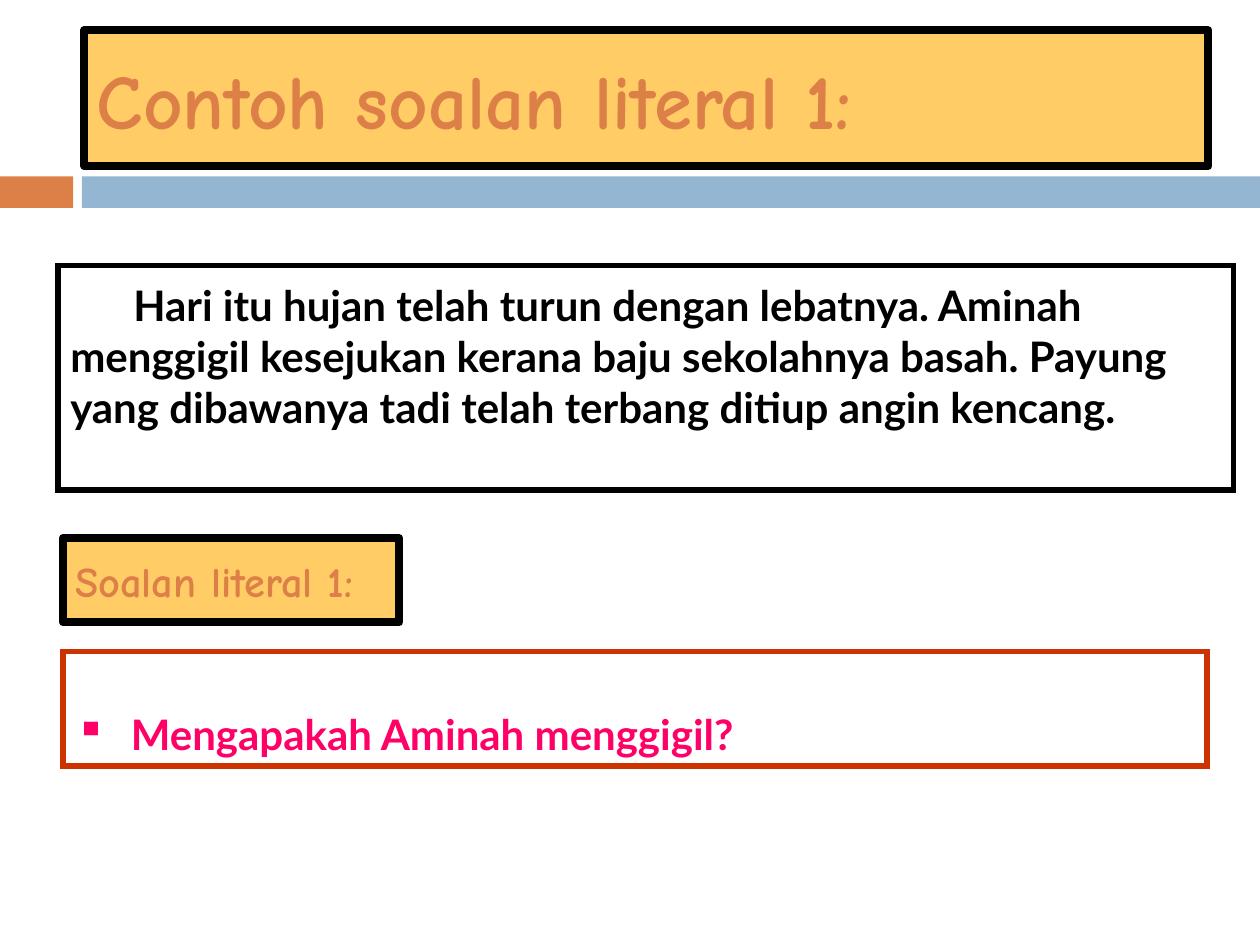
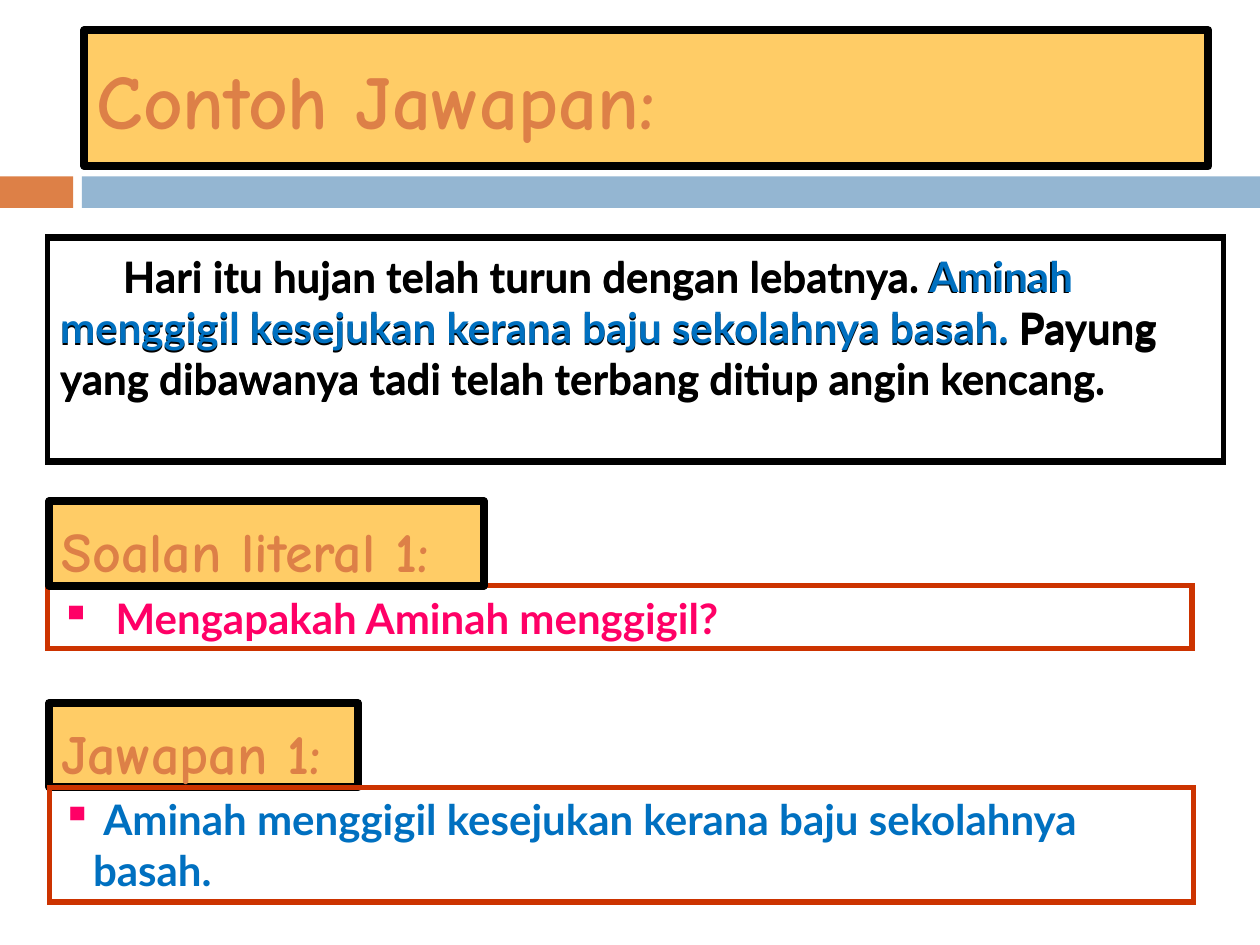
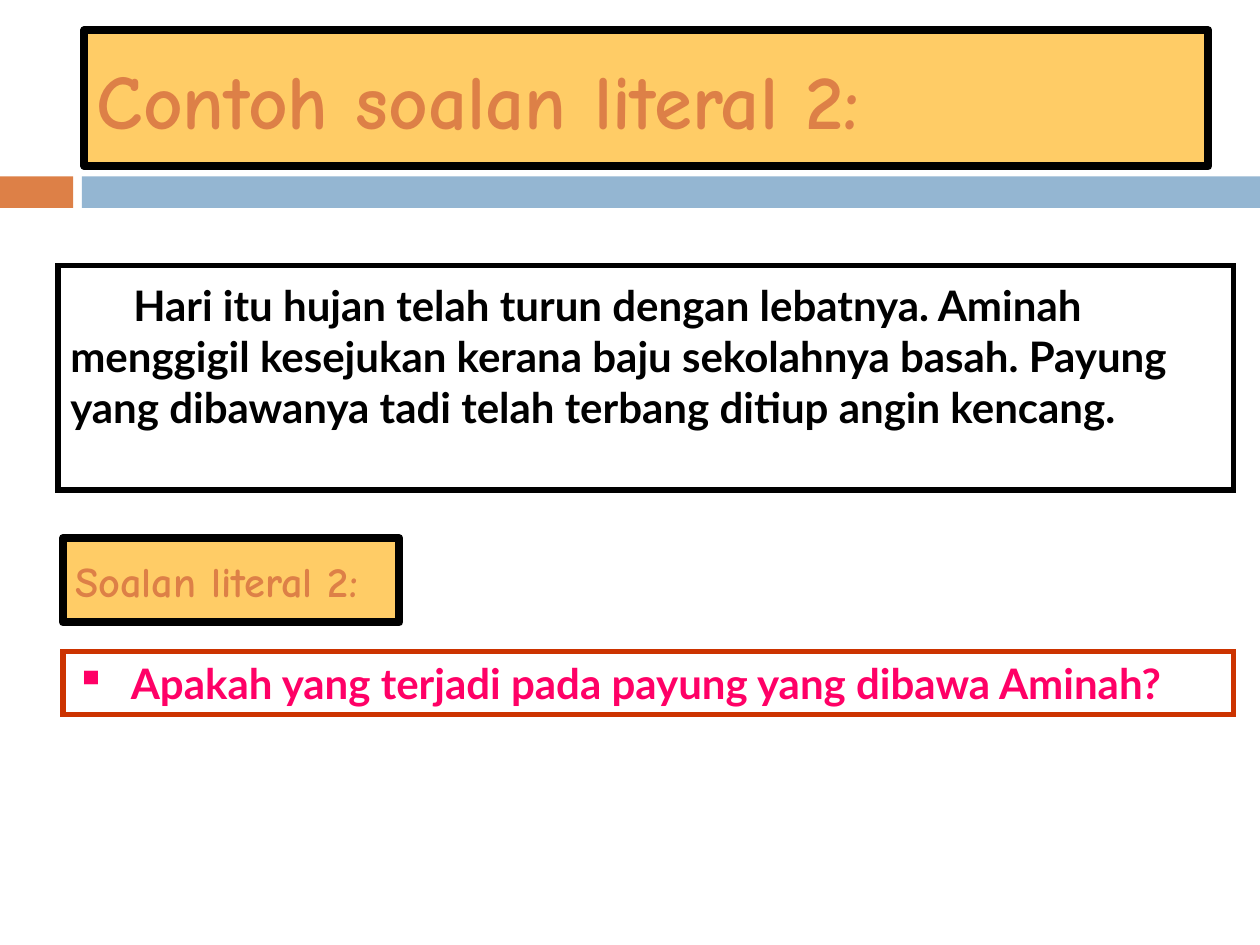
"""Build three slides of literal comprehension questions and answers."""
from lxml.etree import SubElement
from pptx import Presentation
from pptx.dml.color import RGBColor
from pptx.enum.shapes import MSO_SHAPE
from pptx.enum.text import MSO_ANCHOR, PP_ALIGN
from pptx.oxml.ns import qn
from pptx.util import Inches, Pt

ORANGE, BLUE_BAND, GOLD = "DD8047", "94B6D2", "FFCC66"
BLACK, RED, PINK, BLUE = "000000", "CC3300", "FF0066", "0070C0"
HEADING_FONT, BODY_FONT, TAB_FONT = "Comic Neue", "Lato", "Times New Roman"

OPENING = "Hari itu hujan telah turun dengan lebatnya. "
ANSWER = "Aminah menggigil kesejukan kerana baju sekolahnya basah."
ENDING = "Payung yang dibawanya tadi telah terbang ditiup angin kencang."
PLAIN = [(OPENING + ANSWER + " " + ENDING, BLACK)]
HIGHLIGHTED = [(OPENING, BLACK), (ANSWER + " ", BLUE), (ENDING, BLACK)]
WHY = [("Mengapakah Aminah menggigil?", PINK)]
UMBRELLA = [("Apakah yang terjadi pada payung yang dibawa Aminah?", PINK)]

BANDS = [((0, 1.4, 0.58, 0.25), ORANGE), ((0.65, 1.4, 9.35, 0.25), BLUE_BAND)]
TITLE_AREA = (0.67, 0.24, 8.92, 1.08)
PASSAGE_SIZE = (9.33, 1.78)
LABEL_HEIGHT = 0.67
QUESTION_INDENT, ANSWER_INDENT = 0.44, 0.25


def colour(value):
    return RGBColor.from_string(value)


def add_box(slide, area, fill=None, line=None, width=3):
    box = slide.shapes.add_shape(MSO_SHAPE.RECTANGLE, *map(Inches, area))
    box.shadow.inherit = False
    if fill:
        box.fill.solid()
        box.fill.fore_color.rgb = colour(fill)
    else:
        box.fill.background()
    if line:
        box.line.color.rgb = colour(line)
        box.line.width = Pt(width)
    else:
        box.line.fill.background()
    return box


def style(run, font, size, text_colour, bold=True):
    run.font.name = font
    run.font.size = Pt(size)
    run.font.bold = bold
    run.font.color.rgb = colour(text_colour)


def add_heading(slide, text, area, size, spacing=1):
    box = add_box(slide, area, GOLD, BLACK, 4.5)
    frame = box.text_frame
    frame.text = text
    frame.vertical_anchor = MSO_ANCHOR.MIDDLE
    paragraph = frame.paragraphs[0]
    paragraph.alignment = PP_ALIGN.LEFT
    paragraph.line_spacing = float(spacing)
    style(paragraph.runs[0], HEADING_FONT, size, ORANGE)


def add_body(slide, parts, area, line):
    box = add_box(slide, area, line=line)
    SubElement(box.line._get_or_add_ln(), qn("a:miter"), lim="800000")
    box.text_frame.vertical_anchor = MSO_ANCHOR.TOP
    paragraph = box.text_frame.paragraphs[0]
    paragraph.alignment = PP_ALIGN.LEFT
    for text, text_colour in parts:
        run = paragraph.add_run()
        run.text = text
        style(run, BODY_FONT, 24, text_colour)
    return paragraph


def add_passage(slide, parts, left, top):
    paragraph = add_body(slide, [("\t", BLACK)] + parts, (left, top, *PASSAGE_SIZE), BLACK)
    style(paragraph.runs[0], TAB_FONT, 28, BLACK, False)


def add_bulleted(slide, parts, area, indent, spacing=1):
    paragraph = add_body(slide, parts, area, RED)
    paragraph.line_spacing = float(spacing)
    properties = paragraph._p.get_or_add_pPr()
    properties.set("marL", str(Inches(indent)))
    properties.set("indent", str(-Inches(indent)))
    bullet_colour = SubElement(properties, qn("a:buClr"))
    SubElement(bullet_colour, qn("a:srgbClr"), val=PINK)
    SubElement(properties, qn("a:buChar"), char="▪")


def start_slide(title):
    slide = deck.slides.add_slide(deck.slide_layouts[6])
    for area, fill in BANDS:
        add_box(slide, area, fill)
    return slide, lambda: add_heading(slide, title, TITLE_AREA, 44)


def add_question_slide(number, question, width, height, spacing):
    slide, add_title = start_slide(f"Contoh soalan literal {number}:")
    add_passage(slide, PLAIN, 0.46, 2.11)
    add_title()
    add_bulleted(slide, question, (0.5, 5.17, width, height), QUESTION_INDENT, spacing)
    add_heading(slide, f"Soalan literal {number}:", (0.5, 4.27, 2.67, LABEL_HEIGHT), 24.2)


def add_answer_slide():
    slide, add_title = start_slide("Contoh Jawapan:")
    add_passage(slide, PLAIN, 0.38, 1.89)
    add_title()
    add_bulleted(slide, WHY, (0.38, 4.65, 9.08, 0.5), QUESTION_INDENT)
    for text, top, width in [("Soalan literal 1:", 3.98, 3.45), ("Jawapan 1:", 5.58, 2.45)]:
        add_heading(slide, text, (0.39, top, width, LABEL_HEIGHT), 32, 1.2)
    add_bulleted(slide, [(" ", PINK), (ANSWER, BLUE)], (0.39, 6.25, 9.08, 0.91), ANSWER_INDENT)
    add_passage(slide, HIGHLIGHTED, 0.38, 1.88)


deck = Presentation()
deck.slide_width, deck.slide_height = Inches(10), Inches(7.5)
add_question_slide(1, WHY, 9.08, 0.91, 2)
add_answer_slide()
add_question_slide(2, UMBRELLA, 9.29, 0.5, 1)
deck.save("out.pptx")
